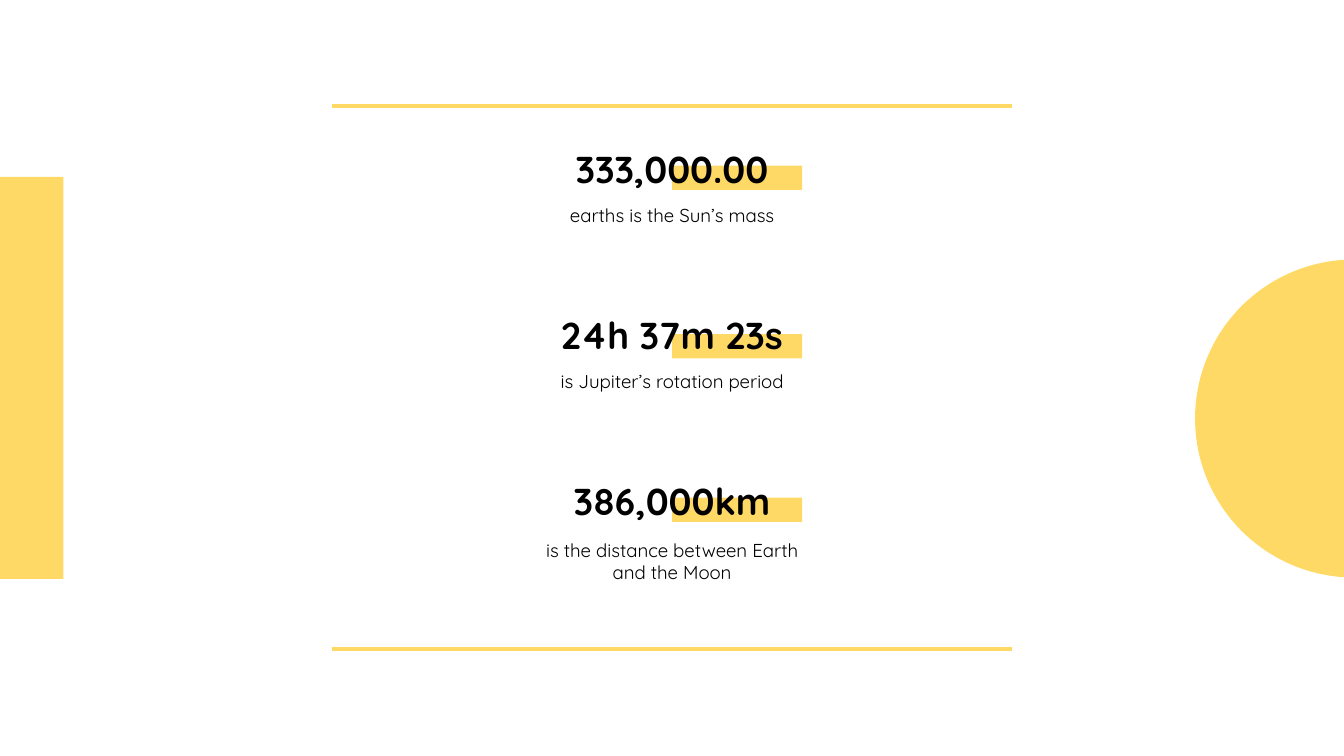
from pptx import Presentation
from pptx.dml.color import RGBColor
from pptx.enum.shapes import MSO_CONNECTOR as Connector, MSO_SHAPE as Shape
from pptx.enum.text import MSO_ANCHOR as Anchor, PP_ALIGN as Align
from pptx.oxml.ns import qn
from pptx.util import Pt
from lxml.etree import SubElement


def color(value):
    return RGBColor.from_string(value)


class FactPage:
    accent = "FFD966"
    ink = "000000"
    font = "Quicksand"

    def __init__(self, page):
        self.page = page

    def shape(self, kind, left, top, width, height):
        shape = self.page.shapes.add_shape(
            kind, Pt(left), Pt(top), Pt(width), Pt(height))
        shape.shadow.inherit = False
        shape.fill.solid()
        shape.fill.fore_color.rgb = color(self.accent)
        shape.line.fill.background()

    def rule(self, left, right, top):
        line = self.page.shapes.add_connector(
            Connector.STRAIGHT, Pt(left), Pt(top), Pt(right), Pt(top))
        line.line.color.rgb = color(self.accent)
        line.line.width = Pt(2.25)
        SubElement(line._element.spPr, qn("a:effectLst"))

    def text(self, words, left, top, width, height, size, bold, anchor):
        box = self.page.shapes.add_textbox(
            Pt(left), Pt(top), Pt(width), Pt(height))
        frame = box.text_frame
        frame_format = {"word_wrap": True, "vertical_anchor": anchor}
        for side in ("left", "top", "right", "bottom"):
            frame_format[f"margin_{side}"] = Pt(7.2)
        for name, value in frame_format.items():
            setattr(frame, name, value)
        para = frame.paragraphs[0]
        para.alignment = Align.CENTER
        span = para.add_run()
        span.text = words
        span_format = {"name": self.font, "size": Pt(size), "bold": bold}
        for name, value in span_format.items():
            setattr(span.font, name, value)
        span.font.color.rgb = color(self.ink)


def main():
    deck = Presentation()
    deck.slide_width, deck.slide_height = Pt(720), Pt(405)
    facts = FactPage(deck.slides.add_slide(deck.slide_layouts[6]))

    for top in (56.8, 347.8):
        facts.rule(177.9, 542.1, top)

    entries = [
        ("333,000.00", "earths is the Sun’s mass", 88.7),
        ("24h 37m 23s", "is Jupiter’s rotation period", 179),
        ("386,000km", "is the distance between Earth and the Moon", 266.6),
    ]
    left, width, first_top, step = 283, 154, 81.3, 89
    for index, (figure, caption, highlight_top) in enumerate(entries):
        top = first_top + index * step
        facts.shape(Shape.RECTANGLE, 360, highlight_top, 69.7, 13.1)
        facts.text(figure, left, top, width, 28, 20, True, Anchor.BOTTOM)
        facts.text(caption, left, top + 22, width, 42.5, 10, False, Anchor.TOP)

    facts.shape(Shape.OVAL, 640.2, 139, 170.4, 170.4)
    facts.shape(Shape.RECTANGLE, 0, 94.8, 34, 215.4)
    deck.save("out.pptx")


if __name__ == "__main__":
    main()
